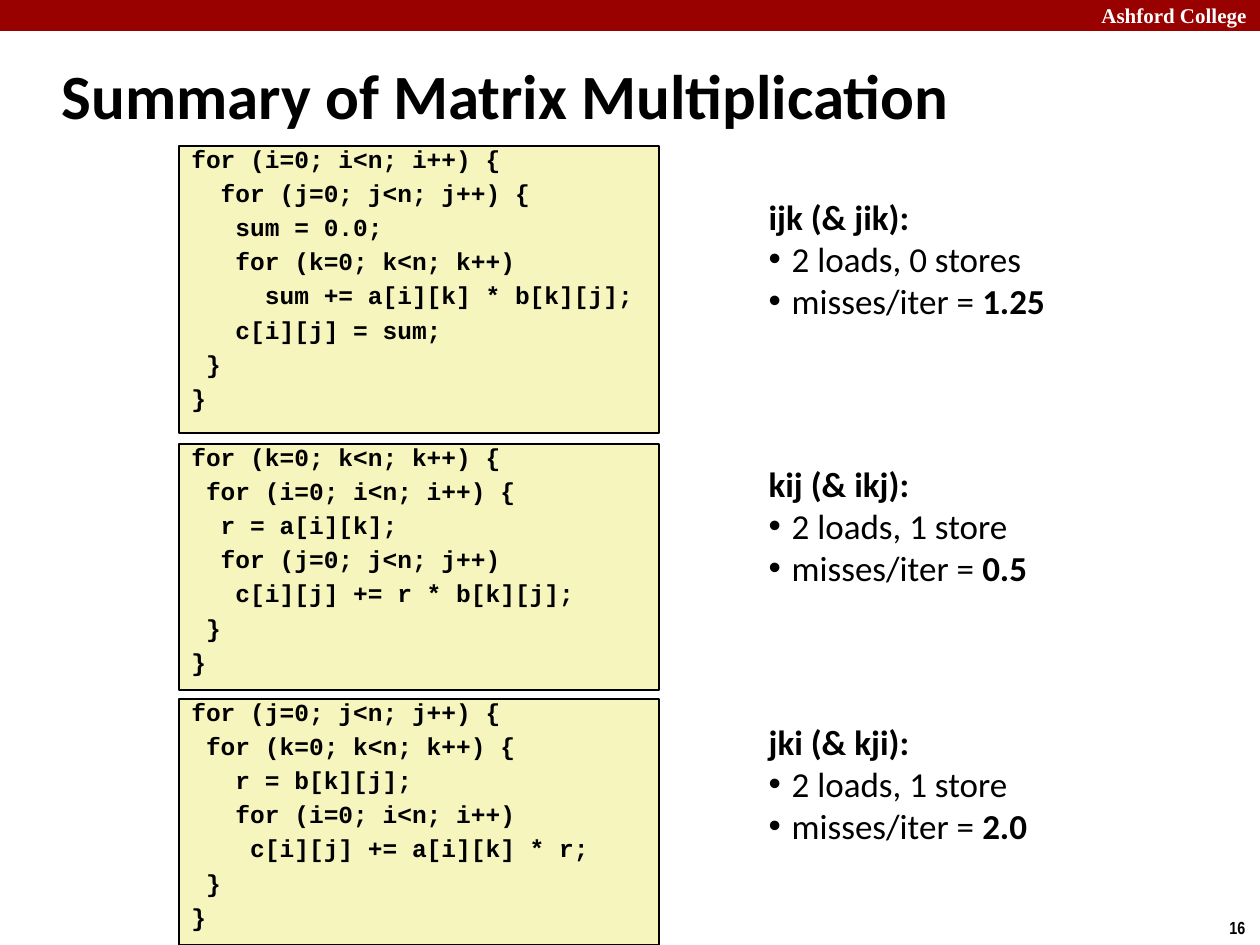
from lxml.etree import SubElement
from pptx import Presentation
from pptx.dml.color import RGBColor
from pptx.enum.shapes import MSO_SHAPE as Shape
from pptx.enum.text import MSO_ANCHOR as Anchor, MSO_AUTO_SIZE as AutoSize, PP_ALIGN as Align
from pptx.oxml.ns import qn
from pptx.util import Inches, Pt

PX = Inches(1) / 126
BLACK = RGBColor(0x00, 0x00, 0x00)
WHITE = RGBColor(0xFF, 0xFF, 0xFF)
CRIMSON = RGBColor(0x99, 0x00, 0x00)
CREAM = RGBColor(0xF6, 0xF5, 0xBD)

IJK_CODE = """for (i=0; i<n; i++) {
  for (j=0; j<n; j++) {
   sum = 0.0;
   for (k=0; k<n; k++)
     sum += a[i][k] * b[k][j];
   c[i][j] = sum;
 }
}"""
KIJ_CODE = """for (k=0; k<n; k++) {
 for (i=0; i<n; i++) {
  r = a[i][k];
  for (j=0; j<n; j++)
   c[i][j] += r * b[k][j];
 }
}"""
JKI_CODE = """for (j=0; j<n; j++) {
 for (k=0; k<n; k++) {
   r = b[k][j];
   for (i=0; i<n; i++)
    c[i][j] += a[i][k] * r;
 }
}"""
VARIANTS = [
    (IJK_CODE, 146, 287, 189, "ijk (& jik):", "2 loads, 0 stores", "1.25"),
    (KIJ_CODE, 444, 246, 456, "kij (& ikj):", "2 loads, 1 store", "0.5"),
    (JKI_CODE, 699, 246, 714, "jki (& kji):", "2 loads, 1 store", "2.0"),
]


class SlideBuilder:
    """Holds the slide and its style, and adds each kind of element."""

    def __init__(self, slide):
        self.slide = slide
        self.body_font = "Calibri"
        self.code_font = "Courier New"
        self.bullet_indent = 23

    def place(self, shape, left, top, width, height):
        shape.left, shape.top = int(left * PX), int(top * PX)
        shape.width, shape.height = int(width * PX), int(height * PX)

    def format_run(self, run, font, size, bold=True, color=BLACK):
        run.font.name, run.font.size = font, Pt(size)
        run.font.bold, run.font.color.rgb = bold, color

    def rectangle(self, left, top, width, height, fill, line=None):
        shape = self.slide.shapes.add_shape(Shape.RECTANGLE, 0, 0, 0, 0)
        self.place(shape, left, top, width, height)
        shape.shadow.inherit = False
        shape.fill.solid()
        shape.fill.fore_color.rgb = fill
        if line is None:
            shape.line.fill.background()
        else:
            shape.line.color.rgb, shape.line.width = line, Pt(1)
        return shape

    def label(self, text, left, top, width, height, font, size, color=BLACK):
        shape = self.slide.shapes.add_textbox(0, 0, 0, 0)
        self.place(shape, left, top, width, height)
        shape.text_frame.text = text
        self.format_run(shape.text_frame.paragraphs[0].runs[0], font, size, color=color)

    def title(self, text, left, top, width, height):
        shape = self.slide.shapes.title
        self.place(shape, left, top, width, height)
        frame = shape.text_frame
        frame.text = text
        frame.auto_size, frame.vertical_anchor = AutoSize.NONE, Anchor.MIDDLE
        frame.paragraphs[0].alignment = Align.LEFT
        self.format_run(frame.paragraphs[0].runs[0], self.body_font, 36)

    def code(self, text, left, top, width, height):
        frame = self.rectangle(left, top, width, height, CREAM, BLACK).text_frame
        frame.text = text
        frame.word_wrap, frame.vertical_anchor = True, Anchor.TOP
        for paragraph in frame.paragraphs:
            paragraph.alignment = Align.LEFT
            paragraph.line_spacing, paragraph.space_before = 0.7, Pt(7.7)
            self.format_run(paragraph.runs[0], self.code_font, 14)

    def set_bullet(self, paragraph, bulleted):
        properties = paragraph._p.get_or_add_pPr()
        margin = int(self.bullet_indent * PX) if bulleted else 0
        properties.set("marL", str(margin))
        properties.set("indent", str(-margin))
        if bulleted:
            SubElement(properties, qn("a:buFont")).set("typeface", "Arial")
            SubElement(properties, qn("a:buChar")).set("char", "•")
        else:
            SubElement(properties, qn("a:buNone"))

    def summary(self, placeholder, heading, accesses, misses, left, top, width, height):
        self.place(placeholder, left, top, width, height)
        frame = placeholder.text_frame
        frame.text = "\n".join([heading, accesses, "misses/iter = "])
        frame.auto_size, frame.vertical_anchor = AutoSize.NONE, Anchor.TOP
        for index, paragraph in enumerate(frame.paragraphs):
            paragraph.level = min(index, 1)
            paragraph.alignment, paragraph.space_before = Align.LEFT, Pt(0)
            self.set_bullet(paragraph, index > 0)
            self.format_run(paragraph.runs[0], self.body_font, 20, bold=index == 0)
        value = frame.paragraphs[-1].add_run()
        value.text = misses
        self.format_run(value, self.body_font, 20)


def main():
    presentation = Presentation()
    presentation.slide_width, presentation.slide_height = Inches(10), Inches(7.5)
    comparison_layout = presentation.slide_layouts[4]
    slide = presentation.slides.add_slide(comparison_layout)
    builder = SlideBuilder(slide)

    builder.rectangle(0, 0, 1260, 31, CRIMSON)
    builder.label("Ashford College", 1089, -4, 180, 38, "Times New Roman", 12, WHITE)
    builder.label("16", 1217, 911, 43, 34, "Arial Narrow", 10)
    builder.title("Summary of Matrix Multiplication", 49, 42, 1046, 105)

    _, *bodies, spare = slide.placeholders
    spare.element.getparent().remove(spare.element)
    for body, variant in zip(bodies, VARIANTS):
        code, code_top, code_height, summary_top, heading, accesses, misses = variant
        builder.code(code, 179, code_top, 480, code_height)
        builder.summary(body, heading, accesses, misses, 756, summary_top, 320, 140)

    presentation.save("out.pptx")


if __name__ == "__main__":
    main()
